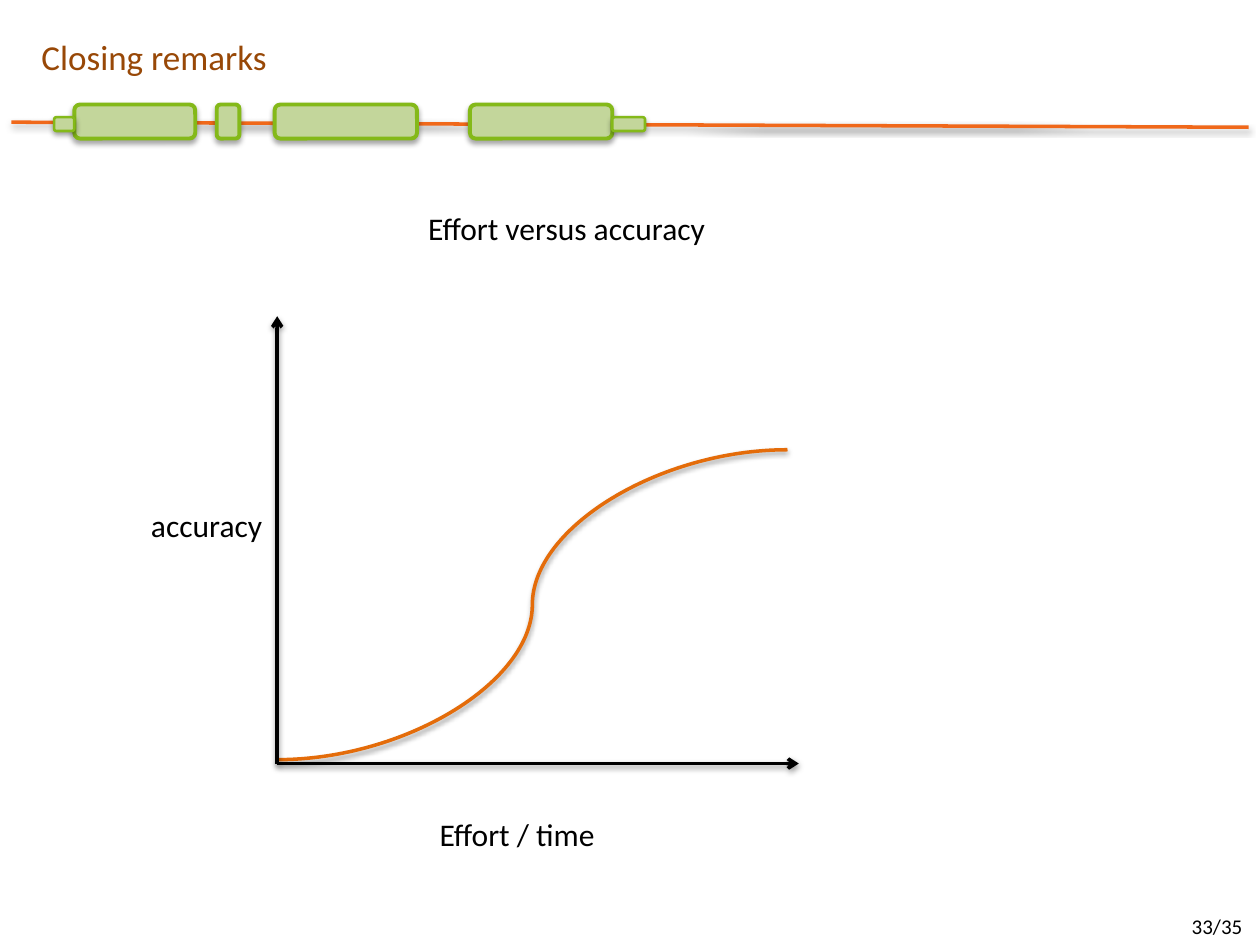
from lxml import etree
from pptx import Presentation
from pptx.dml.color import RGBColor
from pptx.enum.shapes import MSO_CONNECTOR, MSO_SHAPE
from pptx.enum.text import MSO_AUTO_SIZE
from pptx.oxml.ns import qn
from pptx.util import Inches, Pt

STRAIGHT, CURVE = MSO_CONNECTOR.STRAIGHT, MSO_CONNECTOR.CURVE
ROUNDED = MSO_SHAPE.ROUNDED_RECTANGLE
FIT_SHAPE, NO_FIT = MSO_AUTO_SIZE.SHAPE_TO_FIT_TEXT, MSO_AUTO_SIZE.NONE

COLORS = {
    "title": "984807",
    "text": "000000",
    "baseline": "F0681A",
    "exon": "C3D69B",
    "exon_edge": "84B919",
    "curve": "E46C0A",
    "shadow": "000000",
}


class SlideBuilder:
    font = "Calibri"

    def __init__(self, slide):
        self.s = slide

    def color(self, name):
        return RGBColor.from_string(COLORS[name])

    def outline(self, sp, color, width):
        sp.line.color.rgb = self.color(color)
        sp.line.width = Pt(width)

    def shadow(self, sp, distance, opacity):
        effects = etree.SubElement(sp._element.spPr, qn("a:effectLst"))
        outer = etree.SubElement(
            effects, qn("a:outerShdw"), blurRad=str(Pt(3.1)),
            dist=str(Pt(distance)), dir="5400000", rotWithShape="0")
        clr = etree.SubElement(outer, qn("a:srgbClr"), val=COLORS["shadow"])
        etree.SubElement(clr, qn("a:alpha"), val=str(opacity * 1000))

    def line(self, start, end, color, kind=STRAIGHT, arrow=False):
        sp = self.s.shapes.add_connector(
            kind, *(Inches(v) for v in (*start, *end)))
        self.outline(sp, color, 2)
        if arrow:
            etree.SubElement(sp.line._get_or_add_ln(), qn("a:tailEnd"), type="arrow")
        self.shadow(sp, 1.6, 38)

    def exon(self, left, top, width, height, weight):
        sp = self.s.shapes.add_shape(
            ROUNDED, *(Inches(v) for v in (left, top, width, height)))
        sp.fill.solid()
        sp.fill.fore_color.rgb = self.color("exon")
        self.outline(sp, "exon_edge", weight)
        self.shadow(sp, 1.8, 35)

    def text(self, text, left, top, width, height, size=18, color="text",
             wrap=False, fit=FIT_SHAPE):
        sp = self.s.shapes.add_textbox(
            *(Inches(v) for v in (left, top, width, height)))
        tf = sp.text_frame
        tf.word_wrap = wrap
        tf.auto_size = fit
        r = tf.paragraphs[0].add_run()
        r.text = text
        r.font.name = self.font
        r.font.size = Pt(size)
        r.font.color.rgb = self.color(color)


def main():
    prs = Presentation()
    prs.slide_width, prs.slide_height = Inches(10), Inches(7.5)
    b = SlideBuilder(prs.slides.add_slide(prs.slide_layouts[6]))

    # Gene model band: baseline, coding exons, then the thin end regions
    b.line((0.09, 0.97), (9.91, 1.01), "baseline")
    for left, width in ((0.59, 0.96), (1.72, 0.18), (2.18, 1.13), (3.73, 1.13)):
        b.exon(left, 0.83, width, 0.27, 2.25)
    for left, width in ((4.86, 0.26), (0.43, 0.16)):
        b.exon(left, 0.93, width, 0.11, 1.5)

    # Headings
    b.text("Closing remarks", 0.23, 0.23, 2.01, 0.44, size=20, color="title")
    b.text("Effort versus accuracy", 3.3, 1.61, 2.45, 0.4)

    # Curve and axes
    origin = (2.2, 6.06)
    b.line((2.2, 6.03), (6.25, 3.57), "curve", kind=CURVE)
    b.line(origin, (2.2, 2.51), "text", arrow=True)
    b.line(origin, (6.34, 6.06), "text", arrow=True)

    # Axis labels
    b.text("Effort / time", 3.39, 6.42, 1.82, 0.4, wrap=True)
    b.text("accuracy", 1.1, 3.97, 1.1, 0.4)

    # Page number
    b.text("33/35", 9.36, 7.2, 0.64, 0.3, size=12, wrap=True, fit=NO_FIT)

    prs.save("out.pptx")


if __name__ == "__main__":
    main()
